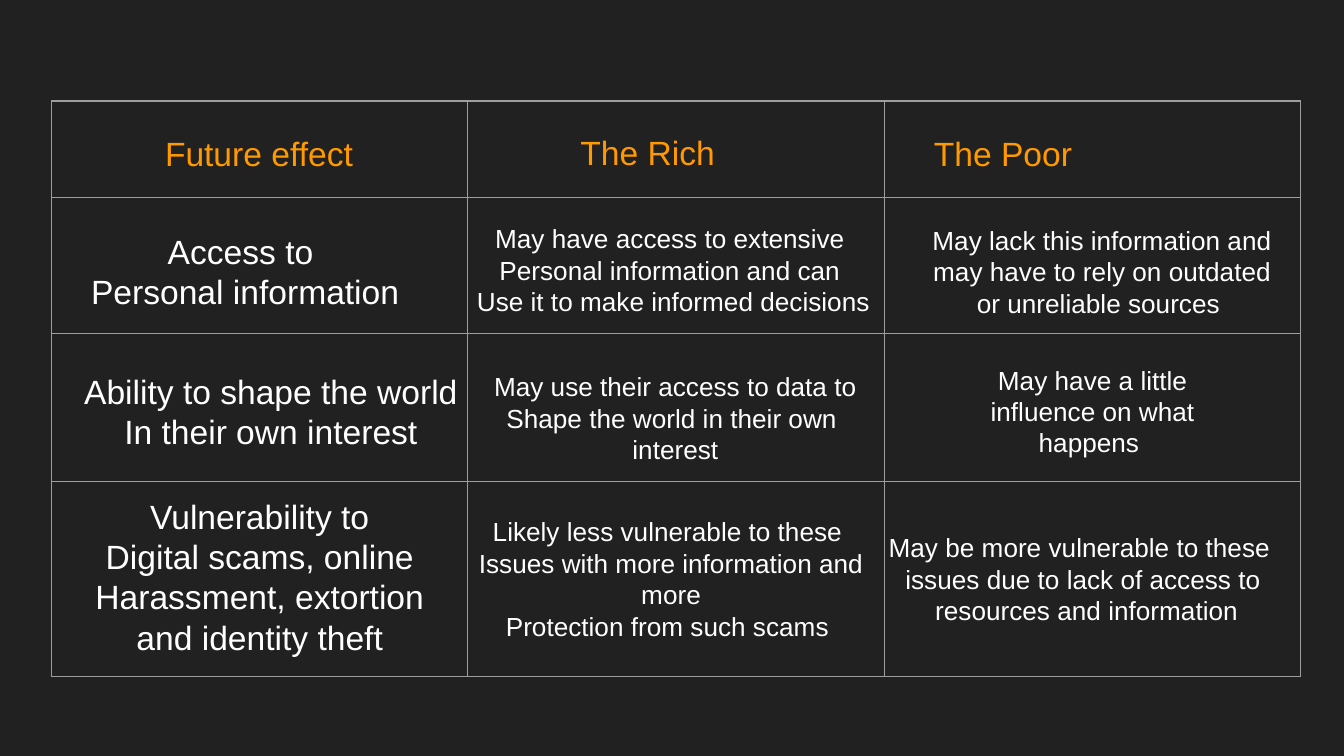
from dataclasses import dataclass

from lxml.etree import SubElement
from pptx import Presentation
from pptx.dml.color import RGBColor
from pptx.enum.text import MSO_AUTO_SIZE, PP_ALIGN
from pptx.oxml.ns import qn
from pptx.slide import Slide
from pptx.table import _Cell
from pptx.util import Cm, Pt

BACKGROUND, GRID, ACCENT, WHITE = "212121", "9E9E9E", "FF9900", "FFFFFF"
COLUMN_WIDTHS = [7.87] * 3
ROW_HEIGHTS = [1.83, 2.57, 2.79, 3.68]
BORDER_SIDES = ("a:lnL", "a:lnR", "a:lnT", "a:lnB")


@dataclass(frozen=True)
class Style:
    size: int
    color: str
    align: PP_ALIGN


HEADING = Style(18, ACCENT, PP_ALIGN.LEFT)
EFFECT = Style(18, WHITE, PP_ALIGN.CENTER)
DETAIL = Style(14, WHITE, PP_ALIGN.CENTER)


@dataclass(frozen=True)
class Entry:
    """Text over one grid cell; lengths in centimetres."""
    style: Style
    left: float
    top: float
    width: float
    height: float
    lines: tuple[str, ...]


ENTRIES = [
    Entry(HEADING, 2.87, 2.26, 4.5, 1.27, ("Future effect",)),
    Entry(HEADING, 10.72, 2.24, 5.03, 1.27, ("The Rich",)),
    Entry(HEADING, 17.4, 2.26, 4.5, 1.27, ("The Poor",)),
    Entry(EFFECT, -0.84, 4.11, 10.95, 2.06,
          ("Access to ", "Personal information")),
    Entry(EFFECT, -1.4, 9.12, 12.62, 3.58,
          ("Vulnerability to", "Digital scams, online",
           "Harassment, extortion", "and identity theft")),
    Entry(EFFECT, -0.99, 6.76, 12.22, 2.06,
          ("Ability to shape the world", "In their own interest")),
    Entry(DETAIL, 6.81, 3.96, 11.84, 2.31,
          ("May have access to extensive ", "Personal information and can ",
           "Use it to make informed decisions")),
    Entry(DETAIL, 17.25, 3.99, 7.16, 2.31,
          ("May lack this information and may have to rely on outdated "
           "or unreliable sources ",)),
    Entry(DETAIL, 5.82, 6.76, 13.89, 2.31,
          ("May use their access to data to", "Shape the world in their own ",
           "interest")),
    Entry(DETAIL, 18.16, 6.63, 4.98, 2.31,
          ("May have a little influence on what happens ",)),
    Entry(DETAIL, 5.74, 9.5, 13.89, 2.9,
          ("Likely less vulnerable to these ",
           "Issues with more information and", " more ",
           "Protection from such scams ")),
    Entry(DETAIL, 15.01, 9.8, 10.92, 2.31,
          ("May be more vulnerable to these ",
           "issues due to lack of access to", " resources and information")),
]


def rgb(value: str) -> RGBColor:
    return RGBColor.from_string(value)


def outline_cell(cell: _Cell) -> None:
    properties = cell._tc.get_or_add_tcPr()
    for side in BORDER_SIDES:
        line = SubElement(properties, qn(side), w=str(Pt(0.75)))
        fill = SubElement(line, qn("a:solidFill"))
        SubElement(fill, qn("a:srgbClr"), val=GRID)
    cell.fill.background()


def add_grid(slide: Slide) -> None:
    grid = slide.shapes.add_table(
        len(ROW_HEIGHTS), len(COLUMN_WIDTHS), Cm(0.97), Cm(1.91),
        Cm(sum(COLUMN_WIDTHS)), Cm(sum(ROW_HEIGHTS))).table
    for flag, value in {"first_row": False, "horz_banding": False}.items():
        setattr(grid, flag, value)
    for column, width in zip(grid.columns, COLUMN_WIDTHS):
        column.width = Cm(width)
    for row, height in zip(grid.rows, ROW_HEIGHTS):
        row.height = Cm(height)
    for cell in grid.iter_cells():
        outline_cell(cell)


def add_entry(slide: Slide, entry: Entry) -> None:
    box = slide.shapes.add_textbox(
        Cm(entry.left), Cm(entry.top), Cm(entry.width), Cm(entry.height))
    frame = box.text_frame
    margins = dict.fromkeys(
        ("margin_left", "margin_top", "margin_right", "margin_bottom"), Cm(0.25))
    frame_format = {"word_wrap": True,
                    "auto_size": MSO_AUTO_SIZE.SHAPE_TO_FIT_TEXT, **margins}
    for name, value in frame_format.items():
        setattr(frame, name, value)
    frame.text = "\n".join(entry.lines)
    for paragraph in frame.paragraphs:
        paragraph.alignment = entry.style.align
        font = paragraph.runs[0].font
        for name, value in {"name": "Arial", "size": Pt(entry.style.size)}.items():
            setattr(font, name, value)
        font.color.rgb = rgb(entry.style.color)


def main() -> None:
    presentation = Presentation()
    presentation.slide_width, presentation.slide_height = Cm(25.4), Cm(14.29)
    slide = presentation.slides.add_slide(presentation.slide_layouts[6])
    slide.background.fill.solid()
    slide.background.fill.fore_color.rgb = rgb(BACKGROUND)
    add_grid(slide)
    for entry in ENTRIES:
        add_entry(slide, entry)
    presentation.save("out.pptx")


if __name__ == "__main__":
    main()
